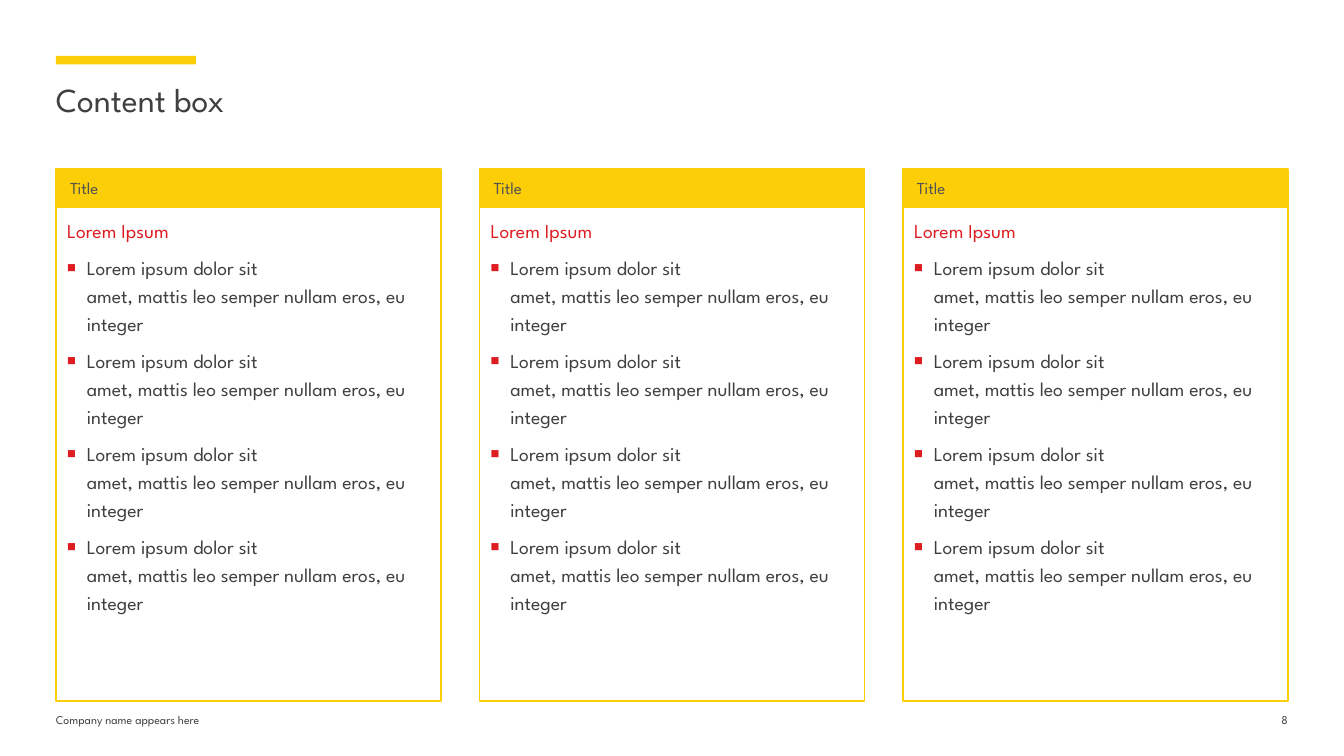
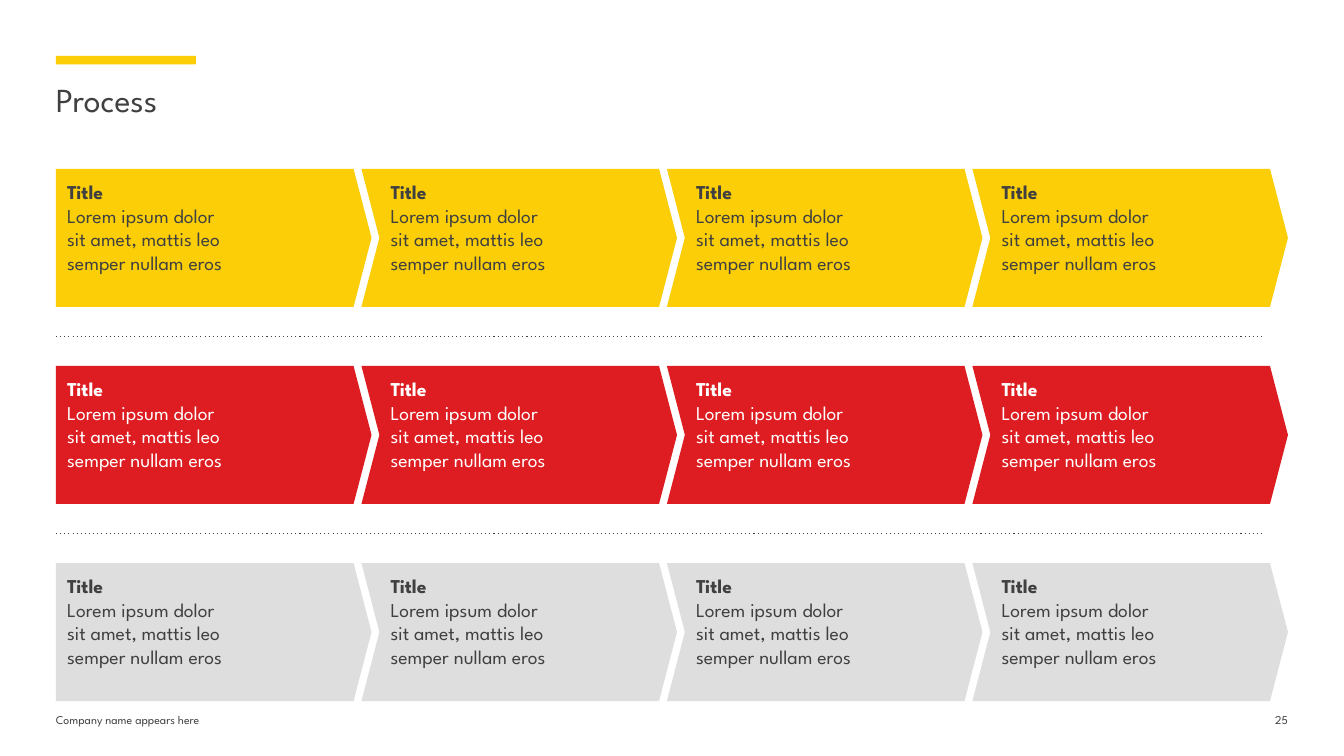
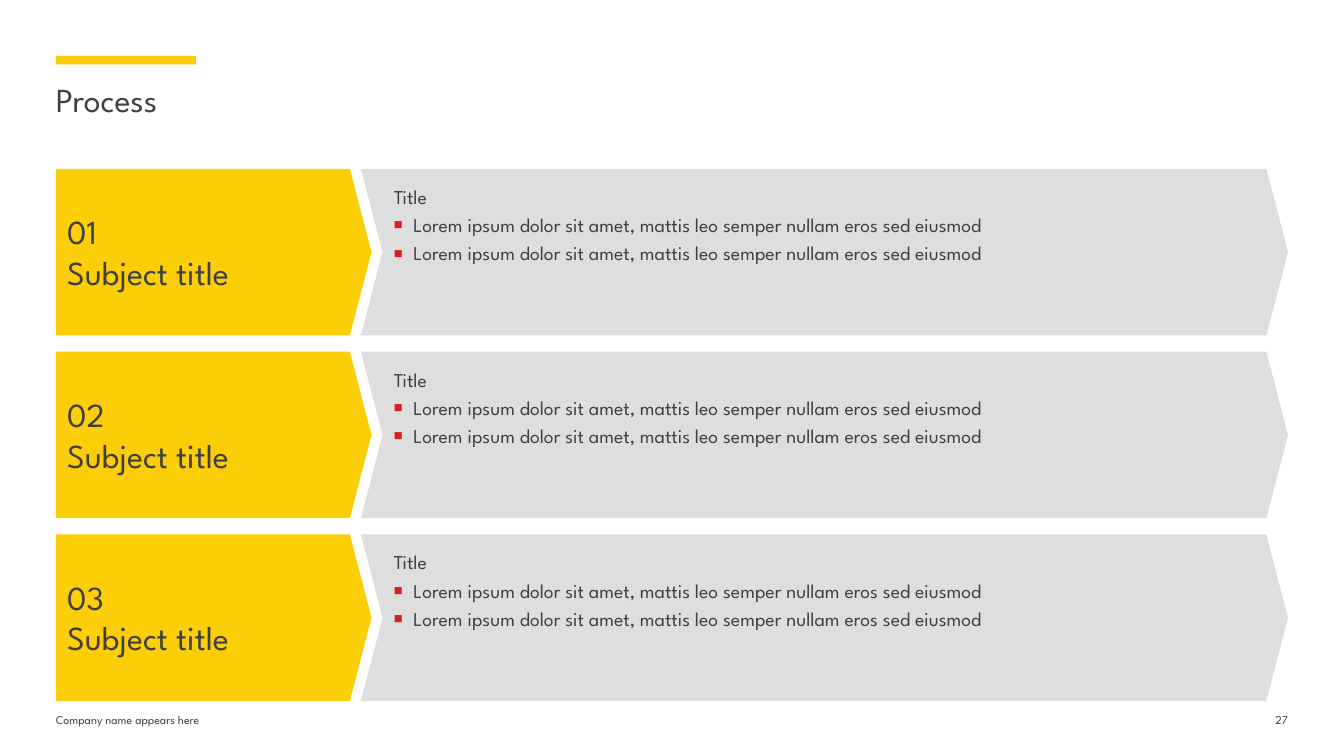
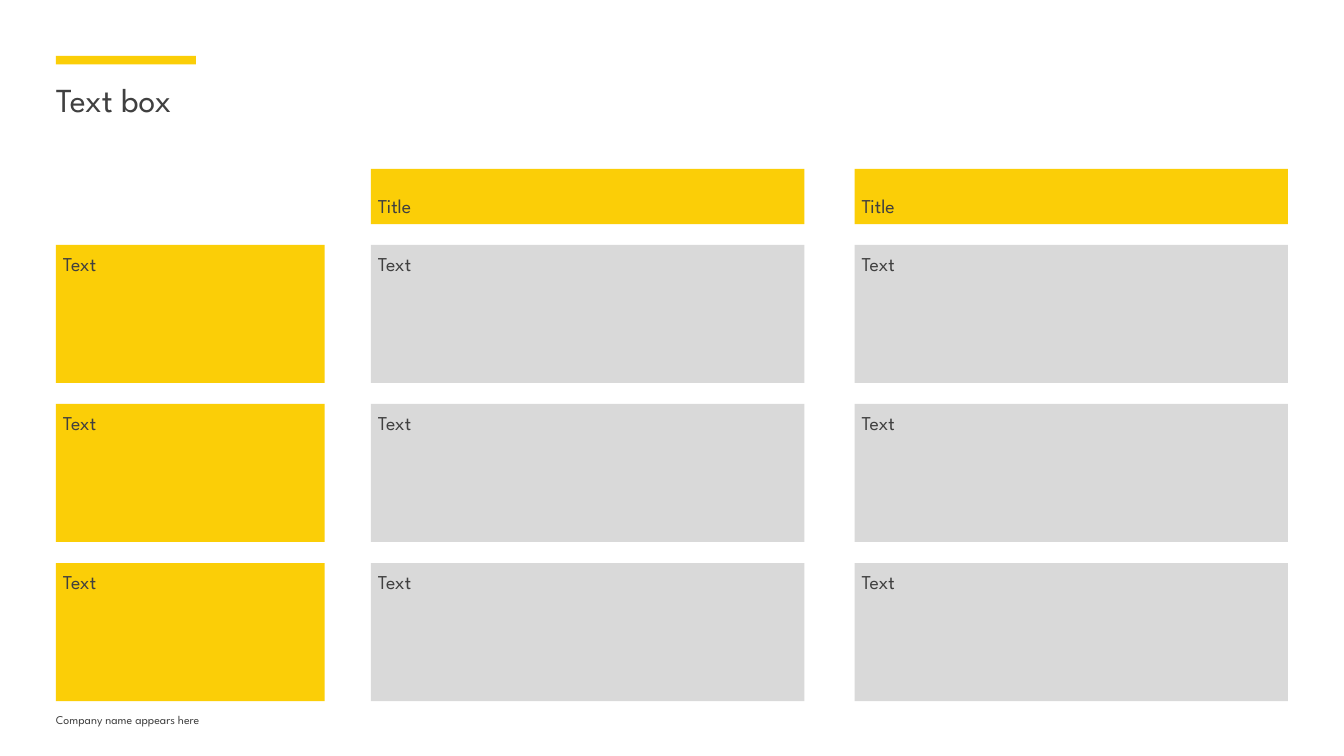
"""Build four template slides: content boxes, two processes and text boxes."""
from copy import deepcopy
from dataclasses import dataclass

from lxml.etree import SubElement
from pptx import Presentation
from pptx.dml.color import RGBColor
from pptx.enum.dml import MSO_LINE
from pptx.enum.shapes import MSO_CONNECTOR, MSO_SHAPE
from pptx.enum.text import MSO_ANCHOR, MSO_AUTO_SIZE, PP_ALIGN
from pptx.oxml.ns import qn
from pptx.util import Pt


@dataclass(frozen=True)
class Theme:
    """Colours, type sizes and page measures in points."""
    font: str = "League Spartan"
    yellow: str = "FBCE07"
    red: str = "DD1D21"
    white: str = "FFFFFF"
    ink: str = "404040"
    header_ink: str = "535353"
    grey: str = "DEDEDE"
    cell_grey: str = "D9D9D9"
    title_size: float = 24
    body_size: float = 14
    header_size: float = 12
    footer_size: float = 8.5
    left: float = 40
    width: float = 880
    top: float = 120.6
    bottom: float = 500.8
    indent: float = 14
    point: float = 0.13

    @property
    def right(self):
        """Return the right margin position."""
        return self.left + self.width


THEME = Theme()


def spread(start, end, size, count):
    """Return the starts of equal items that fill a stretch with equal gaps."""
    step = (end - start - size) / (count - 1)
    return [round(start + index * step, 2) for index in range(count)]


def add_bullet(paragraph):
    """Give a paragraph a small red square bullet and a hanging indent."""
    properties = paragraph._p.get_or_add_pPr()
    properties.set("marL", str(Pt(THEME.indent)))
    properties.set("indent", str(-Pt(THEME.indent)))
    SubElement(SubElement(properties, qn("a:buClr")), qn("a:srgbClr"), val=THEME.red)
    SubElement(properties, qn("a:buSzPct"), val="75000")
    SubElement(properties, qn("a:buFont"), typeface="Arial")
    SubElement(properties, qn("a:buChar"), char="■")


def add_para(frame, text, size=THEME.body_size, color=THEME.ink, bold=False,
             align=PP_ALIGN.LEFT, spacing=None, after=None, bullet=False):
    """Write one formatted paragraph, using the empty first one if there is one."""
    first = frame.paragraphs[0]
    paragraph = frame.add_paragraph() if first.runs else first
    if bullet:
        add_bullet(paragraph)
    paragraph.text = text
    paragraph.alignment = align
    paragraph.line_spacing = spacing
    if after is not None:
        paragraph.space_after = Pt(after)
    for span in paragraph.runs:
        span.font.name = THEME.font
        span.font.size = Pt(size)
        span.font.bold = bold
        span.font.color.rgb = RGBColor.from_string(color)
    for line_break in paragraph._p.findall(qn("a:br")):
        line_break.insert(0, deepcopy(paragraph.runs[0]._r.rPr))


def set_frame(box, insets=(0, 0, 0, 0), anchor=MSO_ANCHOR.TOP):
    """Set the insets, anchor and wrapping of a box and return its text frame."""
    frame = box.text_frame
    frame.word_wrap = True
    frame.auto_size = MSO_AUTO_SIZE.NONE
    frame.vertical_anchor = anchor
    (frame.margin_left, frame.margin_top,
     frame.margin_right, frame.margin_bottom) = map(Pt, insets)
    return frame


def add_box(page, place, fill=None, line=None, kind=MSO_SHAPE.RECTANGLE):
    """Add a flat preset shape."""
    box = page.shapes.add_shape(kind, *map(Pt, place))
    box.shadow.inherit = False
    if fill:
        box.fill.solid()
        box.fill.fore_color.rgb = RGBColor.from_string(fill)
    else:
        box.fill.background()
    if line:
        box.line.color.rgb = RGBColor.from_string(line)
        box.line.width = Pt(1)
    else:
        box.line.fill.background()
    return box


def add_arrow(page, place, fill, first):
    """Add a process step: a pentagon for the first, a chevron for the rest."""
    kind = MSO_SHAPE.PENTAGON if first else MSO_SHAPE.CHEVRON
    arrow = add_box(page, place, fill, kind=kind)
    arrow.adjustments[0] = THEME.point
    return arrow


def add_dotted_line(page, left, right, top):
    """Add a horizontal dotted divider."""
    divider = page.shapes.add_connector(
        MSO_CONNECTOR.STRAIGHT, Pt(left), Pt(top), Pt(right), Pt(top))
    divider.line.color.rgb = RGBColor.from_string(THEME.ink)
    divider.line.width = Pt(0.75)
    divider.line.dash_style = MSO_LINE.ROUND_DOT
    properties = divider._element.spPr
    properties.find(".//" + qn("a:prstDash")).set("val", "dot")
    SubElement(properties, qn("a:effectLst"))


def add_footer(page, text, left, width, align):
    """Add one piece of footer text."""
    box = page.shapes.add_textbox(Pt(left), Pt(509), Pt(width), Pt(18.7))
    add_para(set_frame(box, (0, 0, 0, 3.6)), text, size=THEME.footer_size, align=align)


def add_page(deck, title, number=None):
    """Add a slide with the accent bar, title and footer."""
    page = deck.slides.add_slide(deck.slide_layouts[5])
    add_box(page, (THEME.left, 40, 100, 6), THEME.yellow)
    heading = page.shapes.title
    heading.left, heading.top = Pt(THEME.left), Pt(56.2)
    heading.width, heading.height = Pt(THEME.width), Pt(59)
    add_para(set_frame(heading), title, size=THEME.title_size)
    add_footer(page, "Company name appears here", THEME.left, 264, PP_ALIGN.LEFT)
    if number:
        add_footer(page, number, THEME.right - 28, 28, PP_ALIGN.RIGHT)
    return page


def build_content_boxes(deck):
    """Build three framed columns with headers and bullets."""
    page = add_page(deck, "Content box", "8")
    width, header = 275, 27.4
    for left in spread(THEME.left, THEME.right, width, 3):
        box = add_box(page, (left, THEME.top, width, header), THEME.yellow, THEME.yellow)
        frame = set_frame(box, (10, 3.6, 5, 3.6), MSO_ANCHOR.MIDDLE)
        add_para(frame, "Title", size=THEME.header_size, color=THEME.header_ink)
        top = THEME.top + header
        box = add_box(page, (left, top, width, THEME.bottom - top), line=THEME.yellow)
        frame = set_frame(box, (8, 5, 8, 0.7))
        add_para(frame, "Lorem Ipsum", color=THEME.red, spacing=1.2, after=6)
        for _ in range(4):
            add_para(frame, "Lorem ipsum dolor sit\namet, mattis leo semper nullam eros, eu integer",
                     spacing=1.2, after=6, bullet=True)


def build_step_rows(deck):
    """Build three coloured rows of four process steps."""
    page = add_page(deck, "Process", "25")
    width, height = 225.4, 98.6
    rows = spread(THEME.top, THEME.bottom, height, 3)
    styles = [(THEME.yellow, THEME.ink), (THEME.red, THEME.white), (THEME.grey, THEME.ink)]
    for top, (fill, color) in zip(rows, styles):
        for left in spread(THEME.left, THEME.right, width, 4):
            arrow = add_arrow(page, (left, top, width, height), fill, left == THEME.left)
            frame = set_frame(arrow, (8, 8, 0, 0.7))
            add_para(frame, "Title", color=color, bold=True)
            add_para(frame, "Lorem ipsum dolor\nsit amet, mattis leo\nsemper nullam eros", color=color)
    for above, below in zip(rows, rows[1:]):
        add_dotted_line(page, THEME.left, 903, (above + height + below) / 2)


def build_subject_rows(deck):
    """Build three numbered subjects, each with a wide details arrow."""
    page = add_page(deck, "Process", "27")
    height, details_left = 119, 257.8
    for number, top in enumerate(spread(THEME.top, THEME.bottom, height, 3), 1):
        subject = add_arrow(page, (THEME.left, top, 225.4, height), THEME.yellow, True)
        frame = set_frame(subject, (8, 0, 0, 0.7), MSO_ANCHOR.MIDDLE)
        add_para(frame, f"{number:02}\nSubject title", size=THEME.title_size)
        place = (details_left, top, THEME.right - details_left, height)
        frame = set_frame(add_arrow(page, place, THEME.grey, False), (8, 8, 0, 0.7))
        add_para(frame, "Title", spacing=1.2)
        for _ in range(2):
            add_para(frame, "Lorem ipsum dolor sit amet, mattis leo semper nullam eros sed eiusmod",
                     spacing=1.2, bullet=True)


def build_text_boxes(deck):
    """Build a grid of text boxes with row and column headers."""
    page = add_page(deck, "Text box")
    width, height = 309.6, 98.6
    columns = spread(265, THEME.right, width, 2)
    cells = [(left, THEME.top, width, 39.5, THEME.yellow, "Title", MSO_ANCHOR.BOTTOM)
             for left in columns]
    for top in spread(175, THEME.bottom, height, 3):
        cells.append((THEME.left, top, 192, height, THEME.yellow, "Text", MSO_ANCHOR.TOP))
        cells += [(left, top, width, height, THEME.cell_grey, "Text", MSO_ANCHOR.TOP)
                  for left in columns]
    for *place, fill, text, anchor in cells:
        add_para(set_frame(add_box(page, place, fill), (5, 5, 5, 5), anchor), text)


def main():
    """Build and save the deck."""
    deck = Presentation()
    deck.slide_width, deck.slide_height = Pt(960), Pt(540)
    build_content_boxes(deck)
    build_step_rows(deck)
    build_subject_rows(deck)
    build_text_boxes(deck)
    deck.save("out.pptx")


if __name__ == "__main__":
    main()
